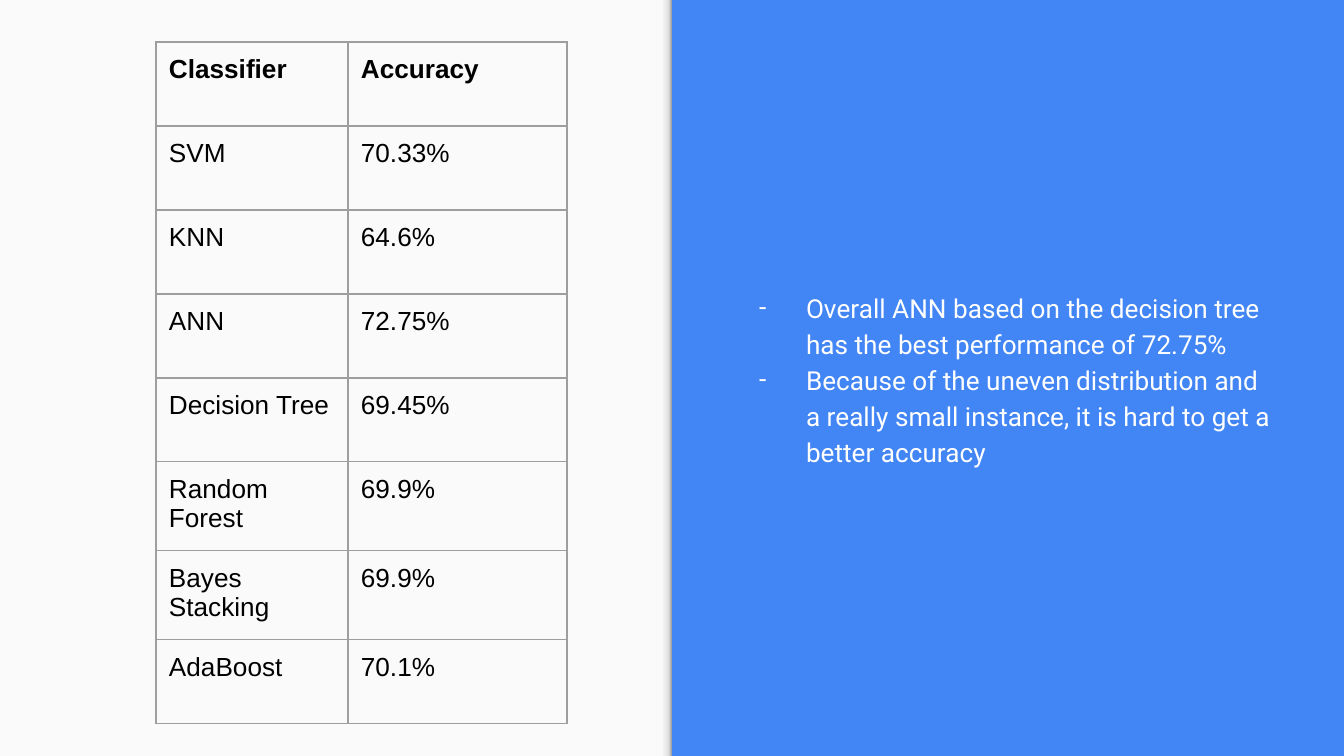
from lxml import etree
from pptx import Presentation
from pptx import util as u
from pptx.dml.color import RGBColor
from pptx.enum import shapes, text
from pptx.oxml import parse_xml
from pptx.oxml.ns import nsdecls, qn

EMU_PER_INCH = 914400
PX_PER_INCH = 134.4
WIDTH, HEIGHT = 1344, 756
MARGIN = 13

BLUE, PALE, WHITE, BLACK, GREY = "4285F4", "FAFAFA", "FFFFFF", "000000", "9E9E9E"
SHADE_STOPS = [(0, "F9F9F9"), (36, "F9F9F9"), (80, "DEDEDE"), (100, "999999")]

RESULTS = [
    ("Classifier", "Accuracy"),
    ("SVM", "70.33%"),
    ("KNN", "64.6%"),
    ("ANN", "72.75%"),
    ("Decision Tree", "69.45%"),
    ("Random Forest", "69.9%"),
    ("Bayes Stacking", "69.9%"),
    ("AdaBoost", "70.1%"),
]
FINDINGS = [
    "Overall ANN based on the decision tree has the best performance of 72.75%",
    "Because of the uneven distribution and a really small instance, "
    "it is hard to get a better accuracy",
]


def px(value):
    return u.Emu(round(value * EMU_PER_INCH / PX_PER_INCH))


def color(value):
    return RGBColor.from_string(value)


def apply(target, values):
    for name, value in values.items():
        setattr(target, name, value)


def set_font(paragraph, name, value, bold=False):
    apply(paragraph.font, {"name": name, "size": u.Pt(14), "bold": bold})
    paragraph.font.color.rgb = color(value)


def add_rectangle(slide, left, top, width, height):
    shape = slide.shapes.add_shape(
        shapes.MSO_SHAPE.RECTANGLE, *map(px, (left, top, width, height)))
    shape.shadow.inherit = False
    shape.line.fill.background()
    return shape


def add_panel(slide):
    panel = add_rectangle(slide, 0, 0, WIDTH // 2, HEIGHT)
    panel.fill.solid()
    panel.fill.fore_color.rgb = color(PALE)


def add_edge_shade(slide):
    # A wide strip turned upright, darkest along the panel's right edge
    thickness = 16
    center = WIDTH // 2 - thickness // 2
    strip = add_rectangle(slide, center - HEIGHT // 2, (HEIGHT - thickness) // 2,
                          HEIGHT, thickness)
    strip.rotation = 90
    strip.fill.gradient()
    strip.fill.gradient_angle = 90
    stops = next(strip.element.iter(qn("a:gsLst")))
    for stop in list(stops):
        stops.remove(stop)
    for position, value in SHADE_STOPS:
        stop = etree.SubElement(stops, qn("a:gs"), pos=str(position * 1000))
        etree.SubElement(stop, qn("a:srgbClr"), val=value)


def set_borders(cell, value, points):
    properties = cell._tc.get_or_add_tcPr()
    for index, side in enumerate(("lnL", "lnR", "lnT", "lnB")):
        properties.insert(index, parse_xml(
            f'<a:{side} {nsdecls("a")} w="{u.Pt(points)}"><a:solidFill>'
            f'<a:srgbClr val="{value}"/></a:solidFill></a:{side}>'))


def add_results_table(slide, left, top, column_widths, row_height):
    frame = slide.shapes.add_table(
        len(RESULTS), len(column_widths), px(left), px(top),
        px(sum(column_widths)), px(row_height * len(RESULTS)))
    table = frame.table
    apply(table, {"first_row": False, "horz_banding": False})
    for column, width in zip(table.columns, column_widths):
        column.width = px(width)
    for row_index, values in enumerate(RESULTS):
        table.rows[row_index].height = px(row_height)
        for column_index, value in enumerate(values):
            cell = table.cell(row_index, column_index)
            cell.text = value
            apply(cell, {f"margin_{side}": px(MARGIN)
                         for side in ("left", "right", "top", "bottom")})
            cell.fill.background()
            set_borders(cell, GREY, 0.75)
            set_font(cell.text_frame.paragraphs[0], "Arial", BLACK, row_index == 0)


def add_dash(paragraph, value):
    properties = paragraph._p.get_or_add_pPr()
    properties.set("marL", str(px(67)))
    properties.set("indent", str(px(-47)))
    bullet_color = etree.SubElement(properties, qn("a:buClr"))
    etree.SubElement(bullet_color, qn("a:srgbClr"), val=value)
    etree.SubElement(properties, qn("a:buFont"), typeface="Roboto")
    etree.SubElement(properties, qn("a:buChar"), char="-")


def add_findings(slide, left, top, width, height):
    box = slide.shapes.add_textbox(*map(px, (left, top, width, height)))
    frame = box.text_frame
    apply(frame, {"word_wrap": True, "vertical_anchor": text.MSO_ANCHOR.MIDDLE})
    apply(frame, {f"margin_{side}": px(MARGIN)
                  for side in ("left", "right", "top", "bottom")})
    for index, finding in enumerate(FINDINGS):
        paragraph = frame.add_paragraph() if index else frame.paragraphs[0]
        paragraph.text = finding
        add_dash(paragraph, WHITE)
        paragraph.line_spacing = 1.15
        set_font(paragraph, "Roboto", WHITE)


def main():
    presentation = Presentation()
    apply(presentation, {"slide_width": px(WIDTH), "slide_height": px(HEIGHT)})
    slide = presentation.slides.add_slide(presentation.slide_layouts[6])

    # Background and left panel
    slide.background.fill.solid()
    slide.background.fill.fore_color.rgb = color(BLUE)
    add_panel(slide)
    add_edge_shade(slide)

    # Findings on the right, results on the left
    add_findings(slide, 726, 106, 564, 543)
    add_results_table(slide, 156, 42, (192, 219), 84)

    presentation.save("out.pptx")


if __name__ == "__main__":
    main()
